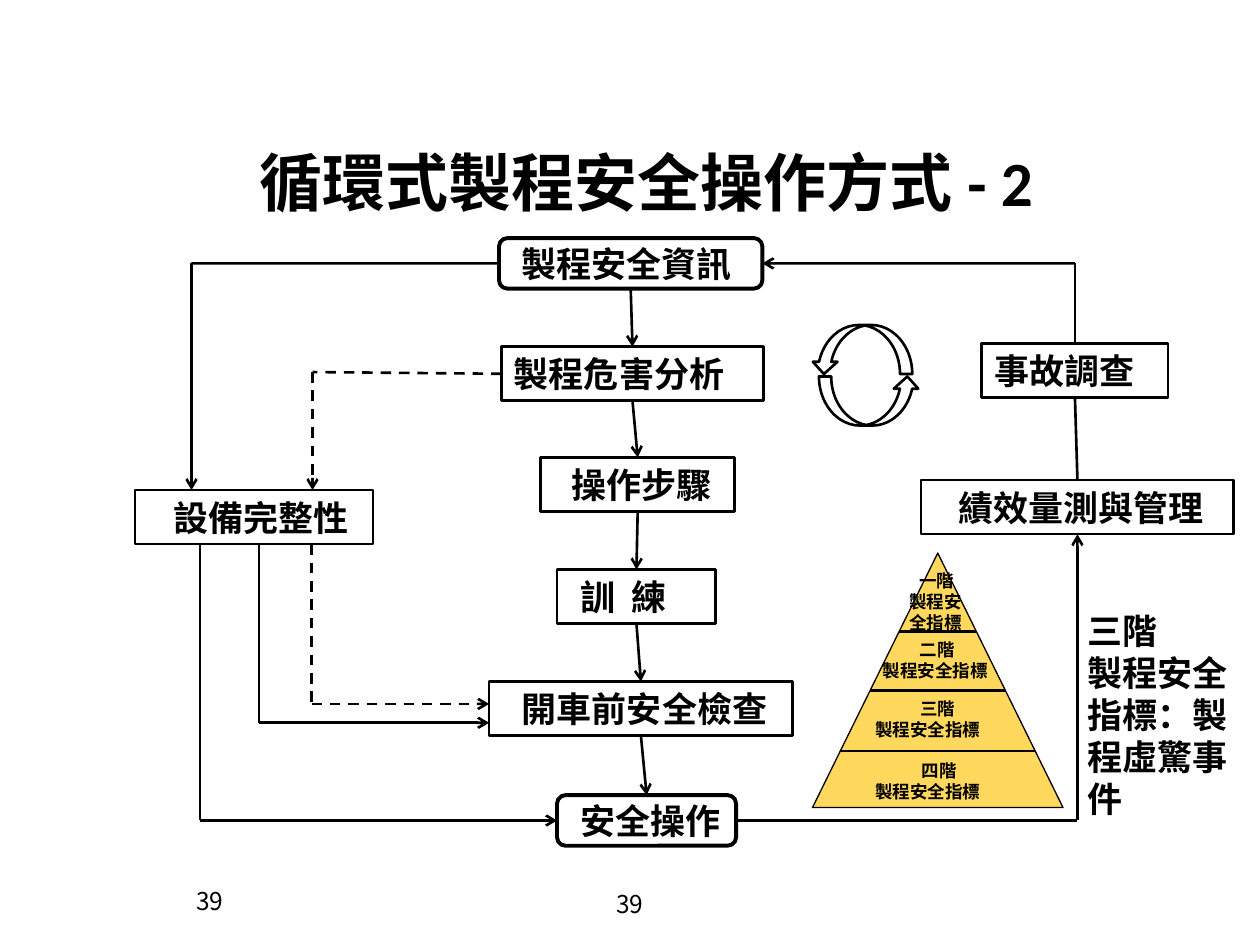
from dataclasses import dataclass

from lxml import etree
from pptx import Presentation
from pptx import util as u
from pptx.dml.color import RGBColor
from pptx.enum import dml, shapes, text
from pptx.oxml import ns

Cm, Pt = u.Cm, u.Pt
TOP, LEFT, BOTTOM, RIGHT = range(4)
CENTER, START = text.PP_ALIGN.CENTER, text.PP_ALIGN.LEFT


@dataclass(frozen=True)
class Theme:
    ink: RGBColor = RGBColor(0, 0, 0)
    gold: RGBColor = RGBColor(0xFF, 0xD8, 0x5D)
    title_font: str = "Calibri"
    font: str = "Noto Sans CJK SC"
    number_font: str = "Noto Sans CJK TC"
    title: int = 36
    body: int = 20
    number: int = 14
    small: int = 10
    thin: float = 0.75
    line: float = 1.5
    thick: float = 2.25


THEME = Theme()


def place(item, left, top, width, height):
    item.left, item.top = Cm(left), Cm(top)
    item.width, item.height = Cm(width), Cm(height)


def format_text(frame, size, font=THEME.font, asian=THEME.font, bold=True,
                align=CENTER):
    for para in frame.paragraphs:
        para.alignment = align
        for span in para.runs:
            span.font.size, span.font.bold = Pt(size), bold
            span.font.name = font
            span.font.color.rgb = THEME.ink
            ea = etree.SubElement(span._r.get_or_add_rPr(), ns.qn("a:ea"))
            ea.set("typeface", asian)


def add_outline(page, kind, area, width=THEME.line, fill=None):
    box = page.shapes.add_shape(kind, *map(Cm, area))
    box.shadow.inherit = False
    if fill is None:
        box.fill.background()
    else:
        box.fill.solid()
        box.fill.fore_color.rgb = fill
    box.line.color.rgb = THEME.ink
    box.line.width = Pt(width)
    return box


def add_node(page, label, left, top, width, align=CENTER, indent=0.25,
             rounded=False):
    kinds = shapes.MSO_SHAPE
    kind = kinds.ROUNDED_RECTANGLE if rounded else kinds.RECTANGLE
    box = add_outline(page, kind, (left, top, width, 1.02 if rounded else 1.09),
                      THEME.thick if rounded else THEME.line)
    frame = box.text_frame
    frame.text = label
    frame.word_wrap = False
    frame.vertical_anchor = text.MSO_ANCHOR.MIDDLE
    frame.margin_left, frame.margin_right = Cm(indent), Cm(0.1)
    frame.margin_top = frame.margin_bottom = 0
    format_text(frame, THEME.body, align=align)
    return box


def add_text(page, label, area, wrap=True):
    box = page.shapes.add_textbox(*map(Cm, area))
    box.text_frame.text = label
    box.text_frame.word_wrap = wrap
    return box.text_frame


def add_route(page, points, start=None, end=None, arrow=True, dashed=False):
    """Draw straight segments; start and end are (box, side) joints."""
    last = len(points) - 2
    for index, (here, there) in enumerate(zip(points, points[1:])):
        line = page.shapes.add_connector(shapes.MSO_CONNECTOR.STRAIGHT,
                                         *map(Cm, here + there))
        if start and index == 0:
            line.begin_connect(*start)
        if end and index == last:
            line.end_connect(*end)
        line.line.color.rgb = THEME.ink
        line.line.width = Pt(THEME.line)
        if dashed:
            line.line.dash_style = dml.MSO_LINE.DASH
        if arrow and index == last:
            tail = etree.SubElement(line.line._get_or_add_ln(), ns.qn("a:tailEnd"))
            tail.set("type", "arrow")
        etree.SubElement(line._element.spPr, ns.qn("a:effectLst"))


def add_pyramid(page):
    left, top, width, height = 16.38, 11.15, 5.05, 5.13
    add_outline(page, shapes.MSO_SHAPE.ISOSCELES_TRIANGLE,
                (left, top, width, height), THEME.thin, THEME.gold)
    middle = left + width / 2
    for y in (12.73, 13.92, 15.14):
        half = width / 2 * (y - top) / height
        add_route(page, [(middle - half, y), (middle + half, y)], arrow=False)

    tiers = [
        ("一階\n製程安\n全指標", 18.08, 11.36, 1.6, 1.32),
        ("二階\n製程安全指標", 17.55, 12.76, 2.69, 0.97),
        ("三階\n製程安全指標", 17.4, 13.95, 3, 0.97),
        ("四階\n製程安全指標", 17.4, 15.19, 3.07, 0.97),
    ]
    for label, *area in tiers:
        frame = add_text(page, label, area, wrap=label.count("\n") == 1)
        format_text(frame, THEME.small, align=START)
        frame.paragraphs[0].alignment = CENTER
        for para in frame.paragraphs:
            para.line_spacing = Pt(12)


def main():
    deck = Presentation()
    deck.slide_width, deck.slide_height = Cm(25.4), Cm(19.05)
    page = deck.slides.add_slide(deck.slide_layouts[5])

    # Title and page numbers
    title = page.shapes.title
    place(title, 1.32, 2.79, 23.42, 1.73)
    title.text_frame.text = "循環式製程安全操作方式 - 2"
    title.text_frame.vertical_anchor = text.MSO_ANCHOR.MIDDLE
    format_text(title.text_frame, THEME.title, THEME.title_font)
    for area in ((1.27, 17.65, 5.92, 1.02), (10.06, 17.58, 5.28, 1.27)):
        frame = add_text(page, "39", area)
        frame.vertical_anchor = text.MSO_ANCHOR.MIDDLE
        format_text(frame, THEME.number, THEME.number_font, THEME.number_font, False)

    # Process steps
    info = add_node(page, "製程安全資訊", 10.06, 4.8, 5.31, START, 0.4, rounded=True)
    hazard = add_node(page, "製程危害分析", 10.11, 6.99, 5.28, START)
    steps = add_node(page, "操作步驟", 10.9, 9.22, 3.91)
    training = add_node(page, "訓 練", 11.23, 11.48, 3.2, START, 0.48)
    training.text_frame.paragraphs[0].runs[0]._r.get_or_add_rPr().set("spc", "225")
    startup = add_node(page, "開車前安全檢查", 9.86, 13.74, 6.12)
    operation = add_node(page, "安全操作", 11.23, 16.03, 3.61, rounded=True)
    add_node(page, "設備完整性", 2.72, 9.88, 4.8, indent=0.4)
    measure = add_node(page, "績效量測與管理", 18.57, 9.68, 6.3)
    incident = add_node(page, "事故調查", 19.79, 6.93, 3.76, START)

    # Main sequence, top to bottom
    chain = [info, hazard, steps, training, startup, operation]
    for upper, lower in zip(chain, chain[1:]):
        add_route(page, [(0, 0), (0, 0)], (upper, BOTTOM), (lower, TOP))

    # Equipment integrity branches
    add_route(page, [(10.06, 5.31), (3.86, 5.31), (3.86, 9.88)], (info, LEFT))
    add_route(page, [(4.03, 10.97), (4.03, 16.54), (11.23, 16.54)],
              end=(operation, LEFT))
    add_route(page, [(5.22, 10.97), (5.22, 14.57), (9.86, 14.57)])
    add_route(page, [(10.11, 7.54), (6.3, 7.5), (6.3, 9.88)], (hazard, LEFT),
              dashed=True)
    add_route(page, [(6.28, 10.97), (6.28, 14.19), (9.86, 14.19)], dashed=True)

    # Feedback loop on the right
    add_route(page, [(14.84, 16.54), (21.72, 16.54), (21.72, 10.77)],
              (operation, RIGHT), (measure, BOTTOM))
    add_route(page, [(0, 0), (0, 0)], (measure, TOP), (incident, BOTTOM), arrow=False)
    add_route(page, [(21.67, 6.93), (21.67, 5.31), (15.37, 5.31)],
              (incident, TOP), (info, RIGHT))

    # Cycle arrows
    for left, top, turn in ((16.51, 7.59, 0), (16.36, 6.55, 180)):
        arrow = add_outline(page, shapes.MSO_SHAPE.CURVED_UP_ARROW,
                            (left, top, 2.03, 0.99))
        arrow.rotation = turn

    # Indicator pyramid and its remark
    add_pyramid(page)
    remark = add_text(page, "三階\n製程安全指標：製程虛驚事件", (21.67, 12.16, 3.58, 4.52))
    format_text(remark, THEME.body, align=START)
    for para in remark.paragraphs:
        para.line_spacing = Pt(24)

    deck.save("out.pptx")


if __name__ == "__main__":
    main()
